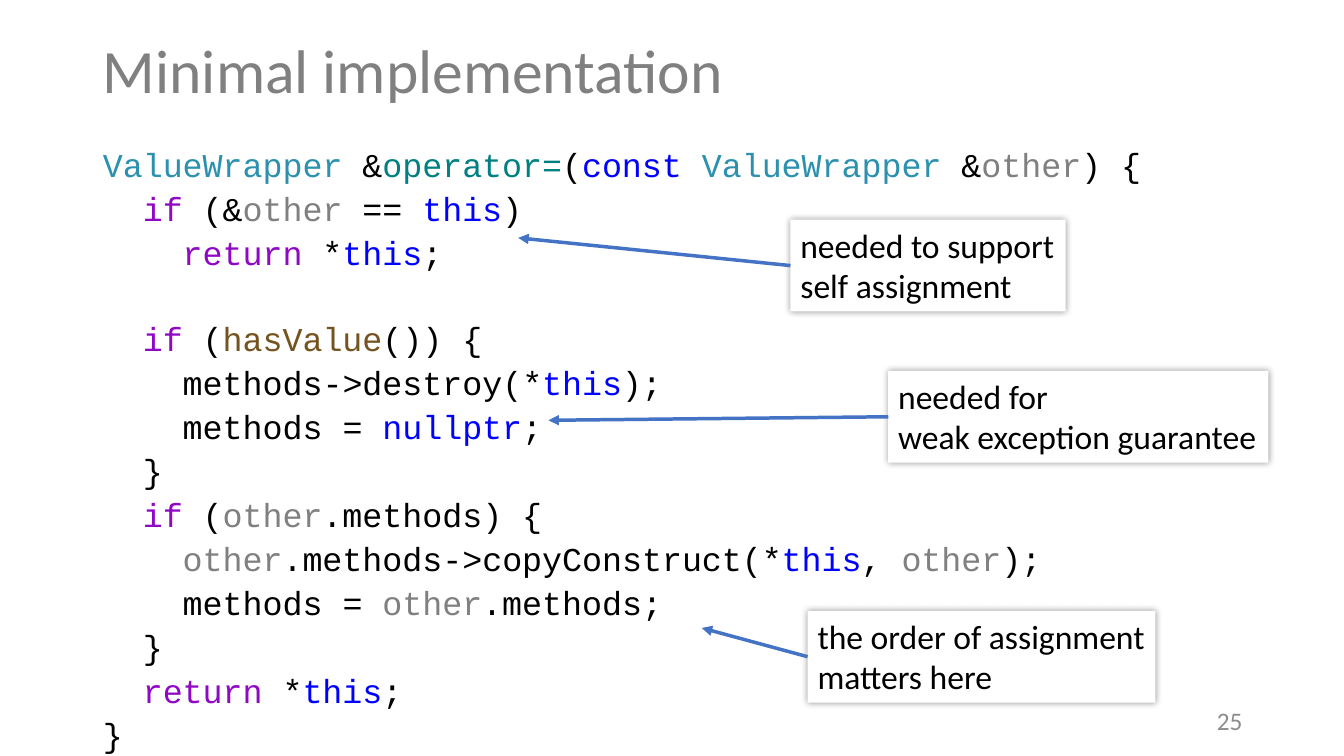
from dataclasses import dataclass

from lxml import etree
from pptx import Presentation
from pptx import util as u
from pptx.dml.color import RGBColor
from pptx.enum import shapes, text
from pptx.oxml import ns


@dataclass(frozen=True)
class Theme:
    sans: str = "Calibri"
    mono: str = "Courier New"
    grey: str = "808080"
    number: str = "8C8C8C"
    ink: str = "000000"
    paper: str = "FFFFFF"
    arrow: str = "4472C4"
    type_name: str = "2B91AF"
    operator: str = "008080"
    keyword: str = "0000FF"
    control: str = "8F08C4"
    function: str = "74531F"
    title_size: float = 44
    code_size: float = 23.8
    note_size: float = 24
    number_size: float = 18
    code_gap: float = 8
    code_pitch: float = 30


THEME = Theme()

TOKEN_COLORS = {
    "ValueWrapper": THEME.type_name,
    "operator=": THEME.operator,
    "const": THEME.keyword,
    "this": THEME.keyword,
    "nullptr": THEME.keyword,
    "if": THEME.control,
    "return": THEME.control,
    "hasValue": THEME.function,
    "other": THEME.grey,
}

# Bars separate the coloured tokens
CODE = """\
ValueWrapper| &|operator=|(|const| |ValueWrapper| &|other|) {
  |if| (&|other| == |this|)
    |return| *|this|;

  |if| (|hasValue|()) {
    methods->destroy(*|this|);
    methods = |nullptr|;
  }
  |if| (|other|.methods) {
    |other|.methods->copyConstruct(*|this|, |other|);
    methods = |other|.methods;
  }
  |return| *|this|;
}"""

# Wording, box (left, top, width, height), arrow tip
NOTES = [
    ("needed to support self assignment", (7.84, 2.18, 2.73, 0.91), (5.14, 2.36)),
    ("needed for\vweak exception guarantee", (8.81, 3.68, 3.77, 0.91), (5.44, 4.17)),
    ("the order of assignment matters here", (8.01, 6.06, 3.45, 0.91), (6.96, 6.23)),
]


def place(shape, box):
    shape.left, shape.top, shape.width, shape.height = map(u.Inches, box)


def set_font(font, name, size, color=None):
    font.name = name
    font.size = u.Pt(size)
    if color:
        font.color.rgb = RGBColor.from_string(color)


def add_child(parent, tag, **attributes):
    return etree.SubElement(parent, ns.qn(tag), attributes)


def write_title(title, box):
    place(title, box)
    frame = title.text_frame
    frame.auto_size = text.MSO_AUTO_SIZE.NONE
    frame.vertical_anchor = text.MSO_ANCHOR.MIDDLE
    frame.text = "Minimal implementation"
    paragraph = frame.paragraphs[0]
    paragraph.alignment = text.PP_ALIGN.LEFT
    paragraph.line_spacing = 0.9
    set_font(paragraph.font, THEME.sans, THEME.title_size, THEME.grey)


def write_code(body, box):
    place(body, box)
    frame = body.text_frame
    frame.auto_size = text.MSO_AUTO_SIZE.NONE
    paragraph = frame.paragraphs[0]
    gap = 0
    for line in CODE.splitlines():
        if not line:  # an empty code line becomes extra space
            gap += THEME.code_pitch
            continue
        if paragraph.runs:
            paragraph = frame.add_paragraph()
        properties = paragraph._p.get_or_add_pPr()
        properties.set("marL", "0")
        properties.set("indent", "0")
        add_child(properties, "a:buNone")
        paragraph.line_spacing = 0.82
        paragraph.space_before = u.Pt(gap)
        set_font(paragraph.font, THEME.mono, THEME.code_size)
        for token in filter(None, line.split("|")):
            run = paragraph.add_run()
            run.text = token
            color = TOKEN_COLORS.get(token, THEME.ink)
            run.font.color.rgb = RGBColor.from_string(color)
        gap = THEME.code_gap


def add_note(slide, wording, box, tip):
    # Card with a soft shadow
    card = slide.shapes.add_shape(shapes.MSO_SHAPE.RECTANGLE, *map(u.Inches, box))
    card.fill.solid()
    card.fill.fore_color.rgb = RGBColor.from_string(THEME.paper)
    card.line.fill.background()
    card.shadow.inherit = False
    effects = card._element.spPr.find(ns.qn("a:effectLst"))
    shadow = add_child(effects, "a:outerShdw", blurRad=str(u.Pt(5)), dist="0",
                       algn="ctr", rotWithShape="0")
    color = add_child(shadow, "a:srgbClr", val=THEME.ink)
    add_child(color, "a:alpha", val="40000")

    frame = card.text_frame
    frame.word_wrap = True
    frame.vertical_anchor = text.MSO_ANCHOR.TOP
    frame.text = wording
    paragraph = frame.paragraphs[0]
    paragraph.alignment = text.PP_ALIGN.LEFT
    set_font(paragraph.font, THEME.sans, THEME.note_size, THEME.ink)

    # Arrow from the card to the code
    left, top, _, height = box
    arrow = slide.shapes.add_connector(
        shapes.MSO_CONNECTOR.STRAIGHT,
        *map(u.Inches, (left, top + height / 2, *tip)))
    arrow.begin_connect(card, 1)
    arrow.line.color.rgb = RGBColor.from_string(THEME.arrow)
    arrow.line.width = u.Pt(2.5)
    add_child(arrow.line._get_or_add_ln(), "a:tailEnd", type="triangle")
    add_child(arrow._element.spPr, "a:effectLst")


def add_slide_number(slide, box):
    frame = slide.shapes.add_textbox(*map(u.Inches, box)).text_frame
    frame.word_wrap = True
    frame.vertical_anchor = text.MSO_ANCHOR.MIDDLE
    frame.text = "25"
    paragraph = frame.paragraphs[0]
    paragraph.alignment = text.PP_ALIGN.RIGHT
    set_font(paragraph.font, THEME.sans, THEME.number_size, THEME.number)


def main():
    presentation = Presentation()
    presentation.slide_width = u.Inches(13.33)
    presentation.slide_height = u.Inches(7.5)
    slide = presentation.slides.add_slide(presentation.slide_layouts[1])

    write_title(slide.shapes.title, (0.92, 0, 11.5, 1.45))
    write_code(slide.placeholders[1], (0.92, 1.45, 11.5, 6.05))
    add_slide_number(slide, (9.42, 6.95, 3, 0.4))
    for wording, box, tip in NOTES:
        add_note(slide, wording, box, tip)

    presentation.save("out.pptx")


if __name__ == "__main__":
    main()
